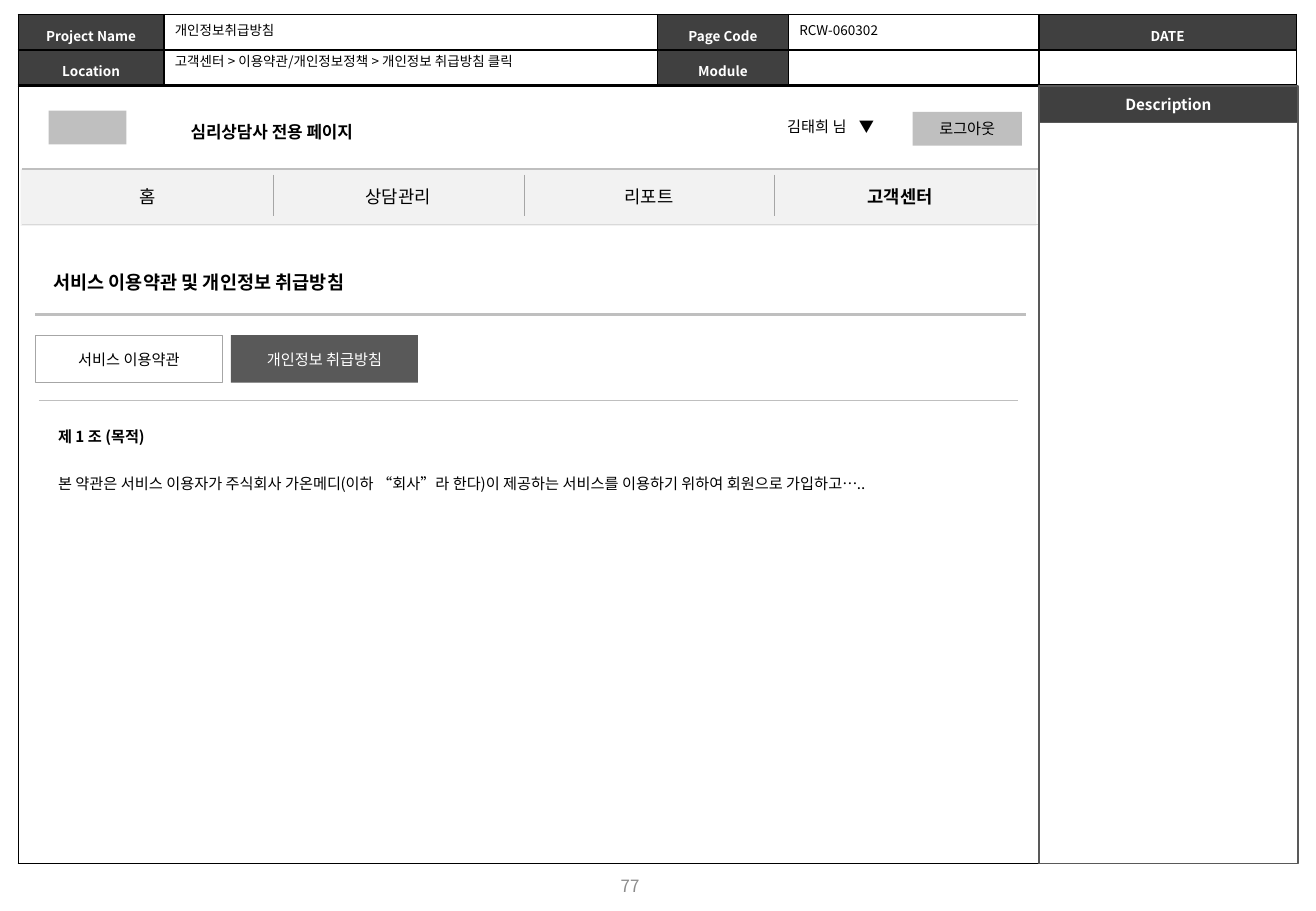
from lxml.etree import SubElement
from pptx import Presentation
from pptx.dml.color import RGBColor
from pptx.enum.shapes import MSO_CONNECTOR as Connector, MSO_SHAPE as Shape
from pptx.enum.text import MSO_ANCHOR as Anchor, PP_ALIGN as Align
from pptx.oxml.ns import qn
from pptx.util import Emu, Inches, Pt

FONT = "Noto Sans CJK KR"
BLACK, WHITE, DARK, MID = "000000", "FFFFFF", "404040", "595959"
SILVER, EDGE, PALE, LIGHT = "BFBFBF", "A6A6A6", "D9D9D9", "F2F2F2"
CELL = Inches(0.1)  # one grid column or row
SIDES = ("L", "R", "T", "B")


def grid(*counts):
    return [Emu(round(count * CELL)) for count in counts]


def color(value):
    return RGBColor.from_string(value)


class Wireframe:
    """Holds the style and the current slide; lengths are grid columns and rows."""

    def __init__(self, width, height):
        self.deck = Presentation()
        self.deck.slide_width, self.deck.slide_height = grid(width, height)
        self.page = self.deck.slides.add_slide(self.deck.slide_layouts[6])

    def style(self, para, size, ink=BLACK, bold=False, align=Align.LEFT, spacing=None):
        para.alignment = align
        if spacing:
            para.line_spacing = spacing
        for span in para.runs:
            span.font.name, span.font.size, span.font.bold = FONT, Pt(size), bold
            span.font.color.rgb = color(ink)
            SubElement(span.font._element, qn("a:ea"), typeface=FONT)
        if not para.runs:
            SubElement(para._p, qn("a:endParaRPr"), sz=str(round(size * 100)))

    def label(self, left, top, width, height, text, size, anchor=Anchor.TOP, **look):
        box = self.page.shapes.add_textbox(*grid(left, top, width, height))
        frame = box.text_frame
        frame.word_wrap, frame.vertical_anchor = True, anchor
        frame.text = text
        for para in frame.paragraphs:
            self.style(para, size, **look)
        return frame

    def block(self, left, top, width, height, fill, line=None, weight=1,
              text=None, size=9, **look):
        box = self.page.shapes.add_shape(Shape.RECTANGLE, *grid(left, top, width, height))
        box.shadow.inherit = False
        box.fill.solid()
        box.fill.fore_color.rgb = color(fill)
        if line:
            box.line.color.rgb, box.line.width = color(line), Pt(weight)
        else:
            box.line.fill.background()
        if text:
            box.text_frame.text = text
            box.text_frame.vertical_anchor = Anchor.MIDDLE
            self.style(box.text_frame.paragraphs[0], size, align=Align.CENTER, **look)

    def rule(self, left, right, top, ink, weight):
        line = self.page.shapes.add_connector(Connector.STRAIGHT, *grid(left, top, right, top))
        line.line.color.rgb, line.line.width = color(ink), Pt(weight)
        SubElement(line._element.spPr, qn("a:effectLst"))

    def table(self, left, top, columns, rows):
        frame = self.page.shapes.add_table(
            len(rows), len(columns), *grid(left, top, sum(columns), sum(rows)))
        table = frame.table
        table.first_row = table.horz_banding = False
        for column, width in zip(table.columns, grid(*columns)):
            column.width = width
        for row, height in zip(table.rows, grid(*rows)):
            row.height = height
        return table

    def cell(self, cell, text, size, sides, border, weight, fill=None,
             anchor=Anchor.TOP, margin=None, **look):
        properties = cell._tc.get_or_add_tcPr()
        for side in SIDES:
            edge = SubElement(properties, qn(f"a:ln{side}"), w=str(Pt(weight)))
            if side in sides:
                paint = SubElement(edge, qn("a:solidFill"))
                SubElement(paint, qn("a:srgbClr"), val=border)
            else:
                SubElement(edge, qn("a:noFill"))
        if fill:
            cell.fill.solid()
            cell.fill.fore_color.rgb = color(fill)
        else:
            cell.fill.background()
        cell.vertical_anchor = anchor
        if margin is not None:
            inset, = grid(margin)
            cell.margin_left = cell.margin_right = inset
            cell.margin_top = cell.margin_bottom = inset
        cell.text = text
        self.style(cell.text_frame.paragraphs[0], size, align=Align.CENTER, **look)


def main():
    sheet = Wireframe(108.3, 75)

    # Page frame
    frame = sheet.table(1.5, 7.1, [105.1], [64])
    sheet.cell(frame.cell(0, 0), "", 9, SIDES, BLACK, 1)

    # Header table
    headings = [["Project Name", "", "Page Code", "", "DATE"],
                ["Location", "", "Module", "", ""]]
    header = sheet.table(1.5, 1.2, [12, 40.6, 10.8, 20.6, 21.2], [2.9, 2.9])
    for row, names in enumerate(headings):
        for column, name in enumerate(names):
            sheet.cell(header.cell(row, column), name, 8, SIDES, BLACK, 1,
                       fill=DARK if name else None, margin=0.4,
                       ink=WHITE, bold=True, spacing=1.3)

    # Header values
    sheet.label(13.4, 1.3, 11, 2.4, "개인정보취급방침", 8)
    sheet.label(13.4, 3.9, 33.8, 2.4,
                "고객센터 > 이용약관/개인정보정책 > 개인정보 취급방침 클릭", 8)
    sheet.label(64.8, 1.3, 9, 2.4, "RCW-060302", 8)

    # Description panel
    sheet.block(85.5, 10, 21.3, 61.1, WHITE, MID)
    sheet.block(85.5, 7.1, 21.3, 3, DARK, MID, text="Description", ink=WHITE, bold=True)

    # Site banner
    sheet.block(4, 9.1, 6.4, 2.8, SILVER)
    sheet.label(14.7, 9.5, 17, 2.7, "심리상담사 전용 페이지", 10, bold=True)
    sheet.label(63.8, 9.2, 7.5, 2.5, "김태희 님", 9)
    sheet.label(69.7, 9.2, 4.2, 2.5, "▼", 9)
    sheet.block(75.1, 9.2, 9, 2.8, SILVER, text="로그아웃")

    # Navigation bar
    sheet.block(1.7, 13.9, 83.6, 4.7, LIGHT)
    sheet.rule(1.8, 85.4, 13.9, SILVER, 1.5)
    sheet.rule(1.8, 85.4, 18.5, PALE, 0.25)
    menu = ["홈", "상담관리", "리포트", "고객센터"]
    last = len(menu) - 1
    bar = sheet.table(1.8, 14.4, [20.65] * len(menu), [3.4])
    for column, name in enumerate(menu):
        sides = ("L" if column else "") + ("R" if column < last else "")
        sheet.cell(bar.cell(0, column), name, 10.5, sides, EDGE, 0.25,
                   anchor=Anchor.MIDDLE, bold=column == last)

    # Section title and tabs
    sheet.label(3.4, 21.8, 28.9, 2.9, "서비스 이용약관 및 개인정보 취급방침", 11, bold=True)
    sheet.rule(2.9, 84.4, 25.9, SILVER, 1.5)
    sheet.block(2.9, 27.6, 15.4, 3.9, WHITE, EDGE, 0.25, text="서비스 이용약관")
    sheet.block(19, 27.6, 15.4, 3.9, MID, text="개인정보 취급방침", ink=WHITE)
    sheet.rule(3.2, 83.8, 33, SILVER, 0.75)

    # Terms text
    terms = sheet.label(
        3.8, 34.2, 74, 6.9,
        "제 1 조 (목적)\n본 약관은 서비스 이용자가 주식회사 가온메디(이하 “회사”라 한다)이 "
        "제공하는 서비스를 이용하기 위하여 회원으로 가입하고…..", 9, spacing=1.3)
    article, body = terms.paragraphs
    article.runs[0].font.bold = True
    body.space_before = Pt(14)

    # Page number
    sheet.label(39.2, 70.9, 25.3, 4, "77", 10, anchor=Anchor.MIDDLE,
                ink="8C8C8C", align=Align.CENTER)

    sheet.deck.save("out.pptx")


if __name__ == "__main__":
    main()
